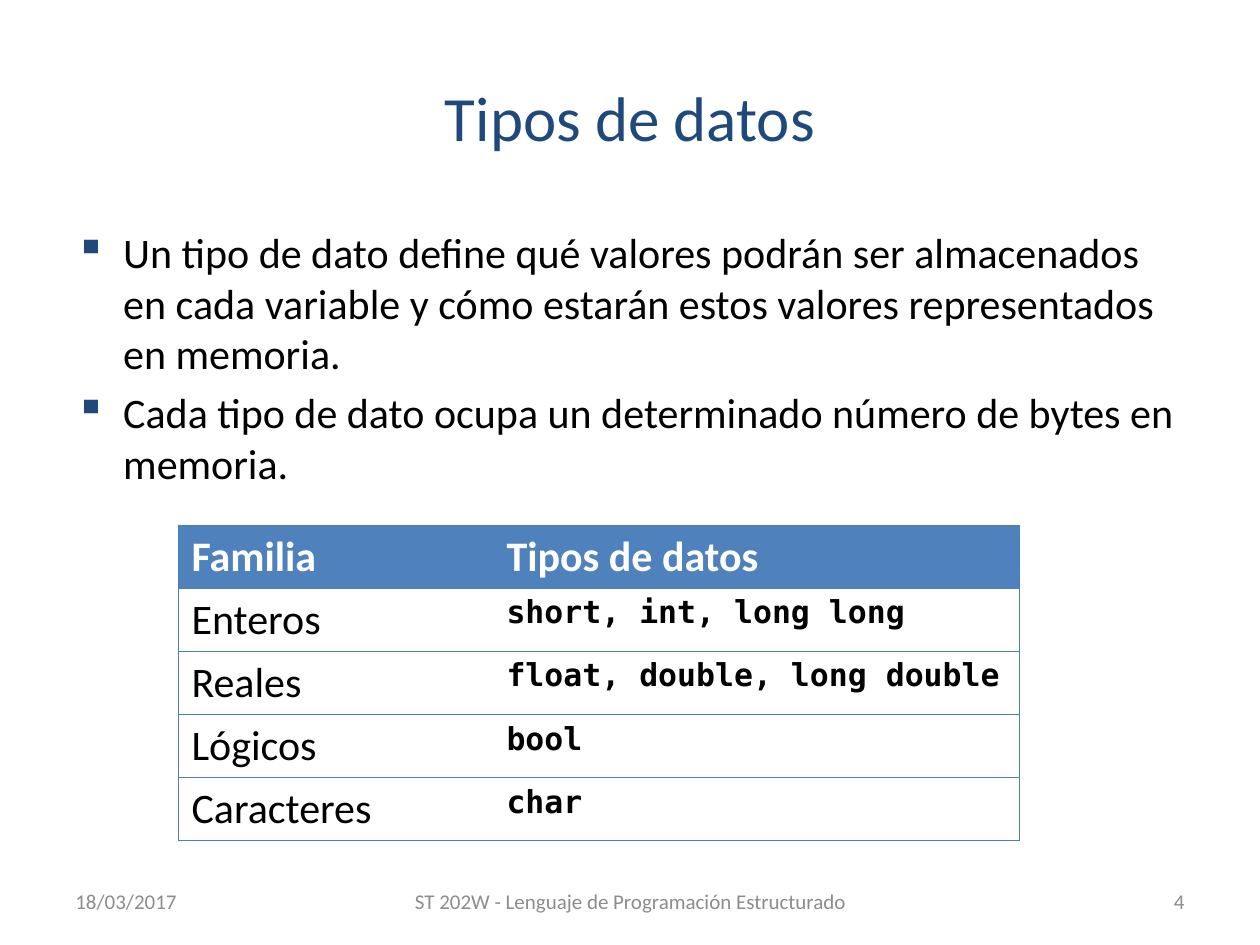
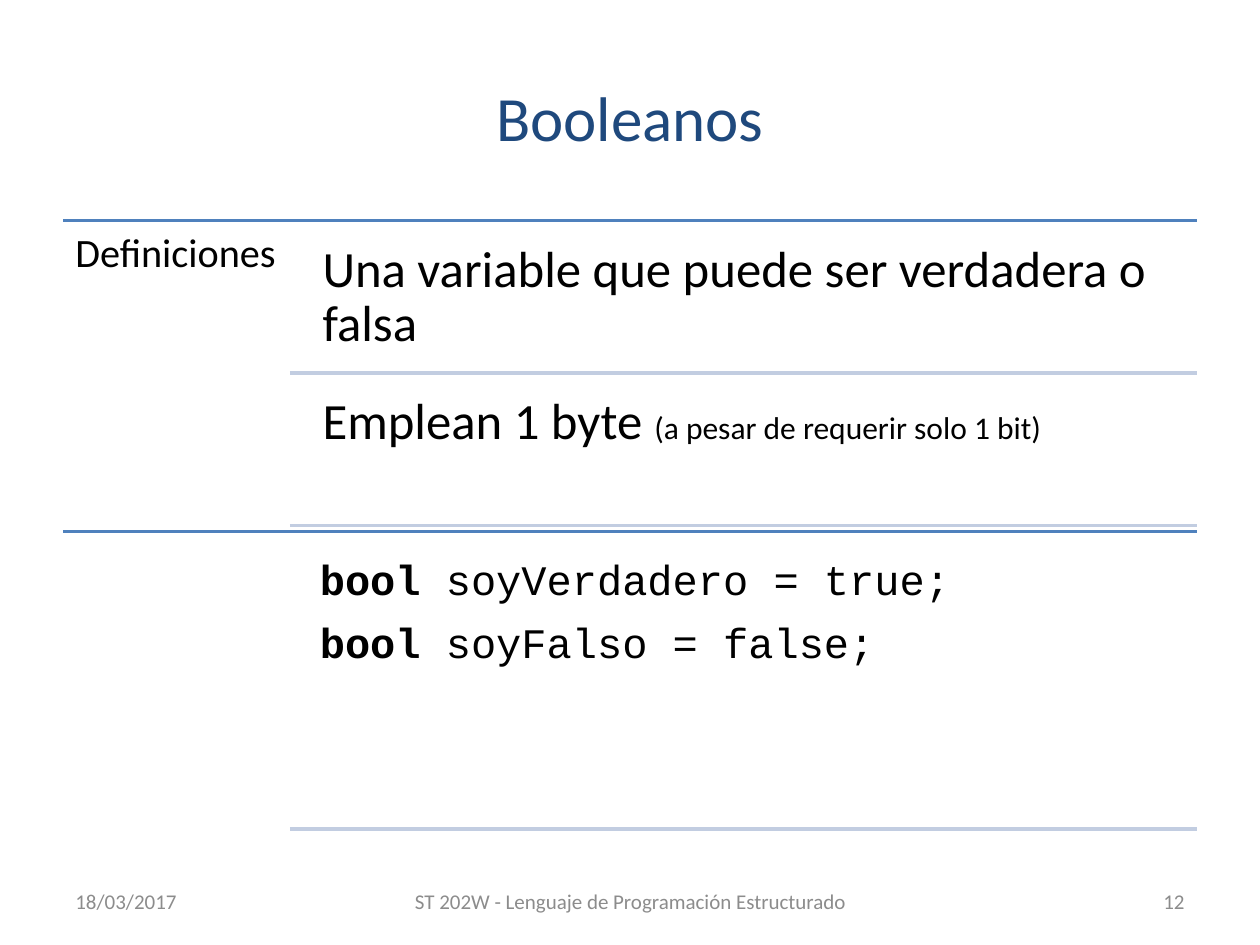
from lxml.etree import SubElement as Sub
from pptx import Presentation
from pptx.dml.color import RGBColor as RGB
from pptx.enum.shapes import MSO_CONNECTOR as Conn
from pptx.enum.text import MSO_ANCHOR as Anchor, PP_ALIGN as Align
from pptx.oxml.ns import qn
from pptx.util import Emu, Pt

PX = 9144  # 100 px to the inch
NAVY, BLUE, PALE, EDGE = "1F497D", "4F81BD", "C2CDE1", "4B7EBC"
GRAY, BLACK, WHITE = "8C8C8C", "000000", "FFFFFF"
SANS, CODE, MONO = "Calibri", "Courier New", "DejaVu Sans Mono"


def px(*nums):
    return [Emu(n * PX) for n in nums]


def paint(part, color):
    """Give a fill, line or font its colour."""
    if hasattr(part, "solid"):
        part.solid()
        part.fore_color.rgb = RGB.from_string(color)
    else:
        part.color.rgb = RGB.from_string(color)


def style(run, size, color=BLACK, face=SANS, bold=False):
    font = run.font
    font.size, font.name, font.bold = Pt(size), face, bold
    paint(font, color)


def add_runs(para, parts):
    """Each part is its text, then the arguments of style."""
    for text, *look in parts:
        run = para.add_run()
        run.text = text
        style(run, *look)


def add_text(slide, box, paras, pad=(10, 5), align=Align.LEFT, anchor=Anchor.TOP):
    frame = slide.shapes.add_textbox(*px(*box)).text_frame
    frame.word_wrap = True
    frame.vertical_anchor = anchor
    frame.margin_left, frame.margin_top = px(*pad)
    frame.margin_right, frame.margin_bottom = px(*pad)
    for i, parts in enumerate(paras):
        para = frame.add_paragraph() if i else frame.paragraphs[0]
        para.alignment = align
        add_runs(para, parts)
    return frame


def add_line(slide, x1, x2, y, color):
    line = slide.shapes.add_connector(Conn.STRAIGHT, *px(x1, y, x2, y))
    paint(line.line, color)
    line.line.width = Pt(2)
    Sub(line._element.spPr, qn("a:effectLst"))


# Title and footer shared by the slides
def add_slide(prs, title, number):
    slide = prs.slides.add_slide(prs.slide_layouts[5])
    head = slide.shapes.title
    head.left, head.top, head.width, head.height = px(50, 30, 900, 125)
    frame = head.text_frame
    frame.text = title
    frame.vertical_anchor = Anchor.MIDDLE
    frame.paragraphs[0].alignment = Align.CENTER
    style(frame.paragraphs[0].runs[0], 36, NAVY)

    course = "ST 202W - Lenguaje de Programación Estructurado"
    for x, w, text, align in ((50, 233, "18/03/2017", Align.LEFT),
                              (317, 367, course, Align.CENTER),
                              (717, 233, str(number), Align.RIGHT)):
        add_text(slide, (x, 695, w, 40), [[(text, 12, GRAY)]],
                 align=align, anchor=Anchor.MIDDLE)
    return slide


def add_bullets(slide, box, items):
    frame = add_text(slide, box, [[(item, 24)] for item in items])
    for para in frame.paragraphs:
        para.space_before = Pt(5)
        props = para._p.get_or_add_pPr()
        props.set("marL", str(38 * PX))
        props.set("indent", str(-38 * PX))
        Sub(Sub(props, qn("a:buClr")), qn("a:srgbClr"), val=NAVY)
        Sub(props, qn("a:buChar"), char="▪")


def add_edges(cell, first):
    """Draw the outer sides and the row rules, with none between columns."""
    props = cell._tc.get_or_add_tcPr()
    for side in "LRTB":
        edge = Sub(props, qn("a:ln" + side), w=str(Pt(0.75)))
        if side == ("R" if first else "L"):
            Sub(edge, qn("a:noFill"))
        else:
            Sub(Sub(edge, qn("a:solidFill")), qn("a:srgbClr"), val=EDGE)


def add_grid(slide, box, widths, rows):
    table = slide.shapes.add_table(len(rows), len(widths), *px(*box)).table
    table.horz_banding = False
    for col, width in zip(table.columns, px(*widths)):
        col.width = width
    for r, row in enumerate(rows):
        for c, text in enumerate(row):
            cell = table.cell(r, c)
            add_edges(cell, c == 0)
            paint(cell.fill, WHITE if r else BLUE)
            cell.text = text
            if r == 0:
                look = (24, WHITE, SANS, True)
            elif c == 0:
                look = (24,)
            else:
                look = (18, BLACK, MONO, True)
            style(cell.text_frame.paragraphs[0].runs[0], *look)


# Rows of definitions and code, ruled off beside a label
def add_panel(slide, box, label, facts, code):
    x, y, w, h = box
    right, rule, text = x + w, x + 180, x + 194
    wide, step, mid = right - text, 121, y + 247
    add_line(slide, x, right, y, BLUE)
    frames = [add_text(slide, (x, y, 180, 247), [[(label, 23)]], (10, 10))]
    for i, fact in enumerate(facts):
        top = y + 6 + i * step
        frames.append(add_text(slide, (text, top, wide, 115), [fact], (12, 12)))
        add_line(slide, rule, right, top + 115, PALE)
    add_line(slide, x, right, mid, BLUE)
    lines = [[(word, 24, BLACK, CODE, True), (rest, 24, BLACK, CODE)]
             for word, rest in code]
    frames.append(add_text(slide, (text, mid + 12, wide, 225), lines, (10, 10)))
    add_line(slide, rule, right, y + h, PALE)
    for frame in frames:
        for para in frame.paragraphs:
            para.line_spacing, para.space_after = 0.9, Pt(10)


def add_types(prs):
    slide = add_slide(prs, "Tipos de datos", 4)
    add_bullets(slide, (50, 175, 900, 225), [
        "Un tipo de dato define qué valores podrán ser almacenados en cada "
        "variable y cómo estarán estos valores representados en memoria.",
        "Cada tipo de dato ocupa un determinado número de bytes en memoria."])
    add_grid(slide, (142, 417, 667, 203), (250, 417), [
        ("Familia", "Tipos de datos"),
        ("Enteros", "short, int, long long"),
        ("Reales", "float, double, long double"),
        ("Lógicos", "bool"),
        ("Caracteres", "char")])


def add_bools(prs):
    slide = add_slide(prs, "Booleanos", 12)
    add_panel(slide, (50, 175, 900, 483), "Definiciones", [
        [("Una variable que puede ser verdadera o falsa", 29)],
        [("Emplean 1 byte ", 29), ("(a pesar de requerir solo 1 bit)", 18)],
    ], [("bool", " soyVerdadero = true;"), ("bool", " soyFalso = false;")])


def main():
    prs = Presentation()
    prs.slide_width, prs.slide_height = px(1000, 750)
    add_types(prs)
    add_bools(prs)
    prs.save("out.pptx")


if __name__ == "__main__":
    main()
